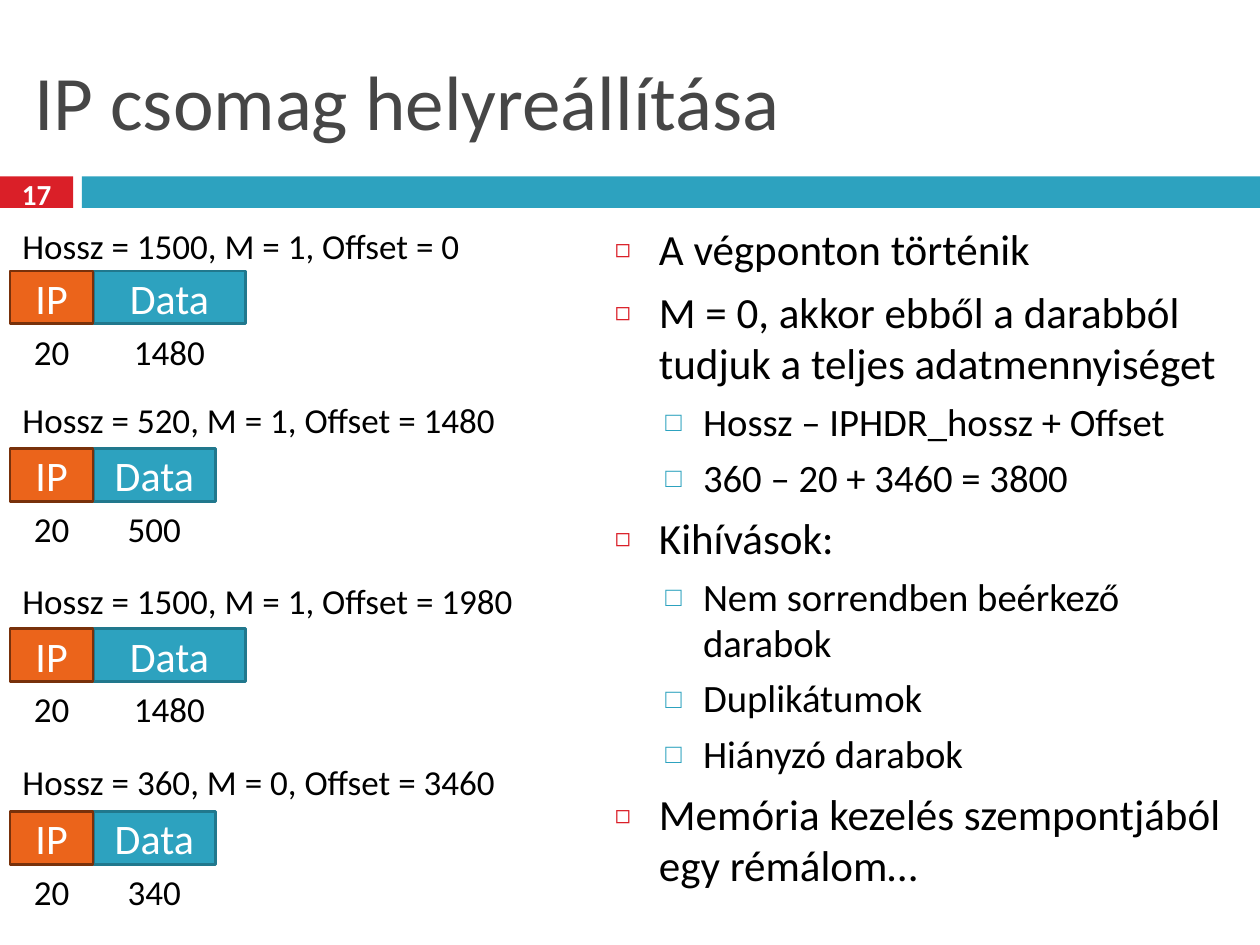
from lxml.etree import SubElement
from pptx import Presentation
from pptx.dml.color import RGBColor
from pptx.enum.shapes import MSO_SHAPE as Shape
from pptx.enum.text import MSO_ANCHOR as Anchor, MSO_AUTO_SIZE as AutoSize, PP_ALIGN as Align
from pptx.oxml.ns import qn
from pptx.util import Pt

PX = 9144  # EMU per px, 100 px to the inch
FONT = "Calibri"
RED = RGBColor(0xDA, 0x1F, 0x28)
TEAL = RGBColor(0x2D, 0xA2, 0xBF)
DARK_TEAL = RGBColor(0x21, 0x78, 0x8D)
ORANGE = RGBColor(0xEB, 0x64, 0x1B)
BROWN = RGBColor(0x78, 0x31, 0x0B)
GRAY = RGBColor(0x46, 0x46, 0x46)
BLACK = RGBColor(0, 0, 0)
WHITE = RGBColor(0xFF, 0xFF, 0xFF)

# level: text size, space before, left indent, hanging, bullet, its colour and percentage
LEVELS = [
    (24.6, 7, 35, 35, "◻", RED, 60),
    (22.1, 5.5, 70, 30, "□", TEAL, 70),
]
POINTS = [
    (0, "A végponton történik"),
    (0, "M = 0, akkor ebből a darabból tudjuk a teljes adatmennyiséget"),
    (1, "Hossz – IPHDR_hossz + Offset"),
    (1, "360 – 20 + 3460 = 3800"),
    (0, "Kihívások:"),
    (1, "Nem sorrendben beérkező darabok"),
    (1, "Duplikátumok"),
    (1, "Hiányzó darabok"),
    (0, "Memória kezelés szempontjából egy rémálom…"),
]
# header top, header width, bar top, data width, header text, data length
FRAGMENTS = [
    (173, 397, 215, 121, "Hossz = 1500, M = 1, Offset = 0", "1480"),
    (311, 428, 356, 97, "Hossz = 520, M = 1, Offset = 1480", "500"),
    (455, 444, 499, 121, "Hossz = 1500, M = 1, Offset = 1980", "1480"),
    (599, 428, 644, 97, "Hossz = 360, M = 0, Offset = 3460", "340"),
]
BAR_HEIGHT, LABEL_HEIGHT, IP_WIDTH = 42, 44, 66


def emu(*lengths):
    return [round(length * PX) for length in lengths]


def place(shape, *box):
    shape.left, shape.top, shape.width, shape.height = emu(*box)


def write(frame, text, size, color, align=Align.LEFT, bold=False):
    paragraph = frame.paragraphs[0]
    paragraph.text = text
    paragraph.alignment = align
    style(paragraph, size, color, bold)


def style(paragraph, size, color, bold=False):
    font = paragraph.font
    font.name, font.size, font.bold = FONT, Pt(size), bold
    font.color.rgb = color


def add_rect(shapes, box, fill, outline=None):
    rect = shapes.add_shape(Shape.RECTANGLE, *emu(*box))
    rect.shadow.inherit = False
    rect.fill.solid()
    rect.fill.fore_color.rgb = fill
    if outline is None:
        rect.line.fill.background()
    else:
        rect.line.color.rgb = outline
        rect.line.width = Pt(1.5)
    rect.text_frame.vertical_anchor = Anchor.MIDDLE
    return rect


def add_label(shapes, box, text, align=Align.LEFT):
    frame = shapes.add_textbox(*emu(*box)).text_frame
    frame.word_wrap = False
    frame.auto_size = AutoSize.SHAPE_TO_FIT_TEXT
    write(frame, text, 20, BLACK, align)


def add_header(slide, left, top, width, number):
    title = slide.shapes.title
    place(title, left + 17, top + 25, width - 33, 108)
    title.text_frame.auto_size = AutoSize.NONE
    title.text_frame.vertical_anchor = Anchor.MIDDLE
    write(title.text_frame, "IP csomag helyreállítása", 44, GRAY)

    add_rect(slide.shapes, (left, top + 140, 58, 25), RED)
    add_rect(slide.shapes, (left + 65, top + 140, width - 65, 25), TEAL)
    page = slide.shapes.add_textbox(*emu(left, top + 137, 58, 33)).text_frame
    page.word_wrap = True
    page.vertical_anchor = Anchor.MIDDLE
    write(page, number, 16.6, WHITE, Align.CENTER, bold=True)


def set_bullet(paragraph, left, hanging, char, color, percent):
    properties = paragraph._p.get_or_add_pPr()
    indent, hang = emu(left, hanging)
    properties.set("marL", str(indent))
    properties.set("indent", str(-hang))
    bullet_color = SubElement(properties, qn("a:buClr"))
    SubElement(bullet_color, qn("a:srgbClr"), val=str(color))
    SubElement(properties, qn("a:buSzPct"), val=str(percent * 1000))
    SubElement(properties, qn("a:buChar"), char=char)


def add_points(slide, box):
    body = slide.placeholders[1]
    place(body, *box)
    frame = body.text_frame
    frame.auto_size = AutoSize.NONE
    frame.text = "\n".join(text for _, text in POINTS)
    for paragraph, (level, _) in zip(frame.paragraphs, POINTS):
        size, space, *bullet = LEVELS[level]
        paragraph.level = level
        paragraph.line_spacing = 0.99
        paragraph.space_before = Pt(space)
        set_bullet(paragraph, *bullet)
        style(paragraph, size, BLACK)


def add_packet(slide, left, top, data_width, data_length):
    """Draw the IP and data fields, each with its length centred below."""
    shapes = slide.shapes.add_group_shape().shapes
    fields = [
        (left + IP_WIDTH, data_width, "Data", data_length, TEAL, DARK_TEAL),
        (left, IP_WIDTH, "IP", "20", ORANGE, BROWN),
    ]
    for x, width, name, length, fill, outline in fields:
        field = add_rect(shapes, (x, top, width, BAR_HEIGHT), fill, outline)
        write(field.text_frame, name, 24, WHITE, Align.CENTER)
        label_width = 19 + 16 * len(length)
        label_left = x + (width - label_width) / 2
        add_label(shapes, (label_left, top + BAR_HEIGHT, label_width, LABEL_HEIGHT),
                  length, Align.CENTER)


def add_fragments(slide, left):
    for header_top, header_width, bar_top, data_width, header, length in FRAGMENTS:
        add_label(slide.shapes, (left, header_top, header_width, LABEL_HEIGHT), header)
        add_packet(slide, left, bar_top, data_width, length)


def main():
    deck = Presentation()
    deck.slide_width, deck.slide_height = emu(1000, 750)
    slide = deck.slides.add_slide(deck.slide_layouts[1])
    add_header(slide, 0, 0, 1000, "17")
    add_points(slide, (478, 173, 506, 560))
    add_fragments(slide, 8)
    deck.save("out.pptx")


if __name__ == "__main__":
    main()
